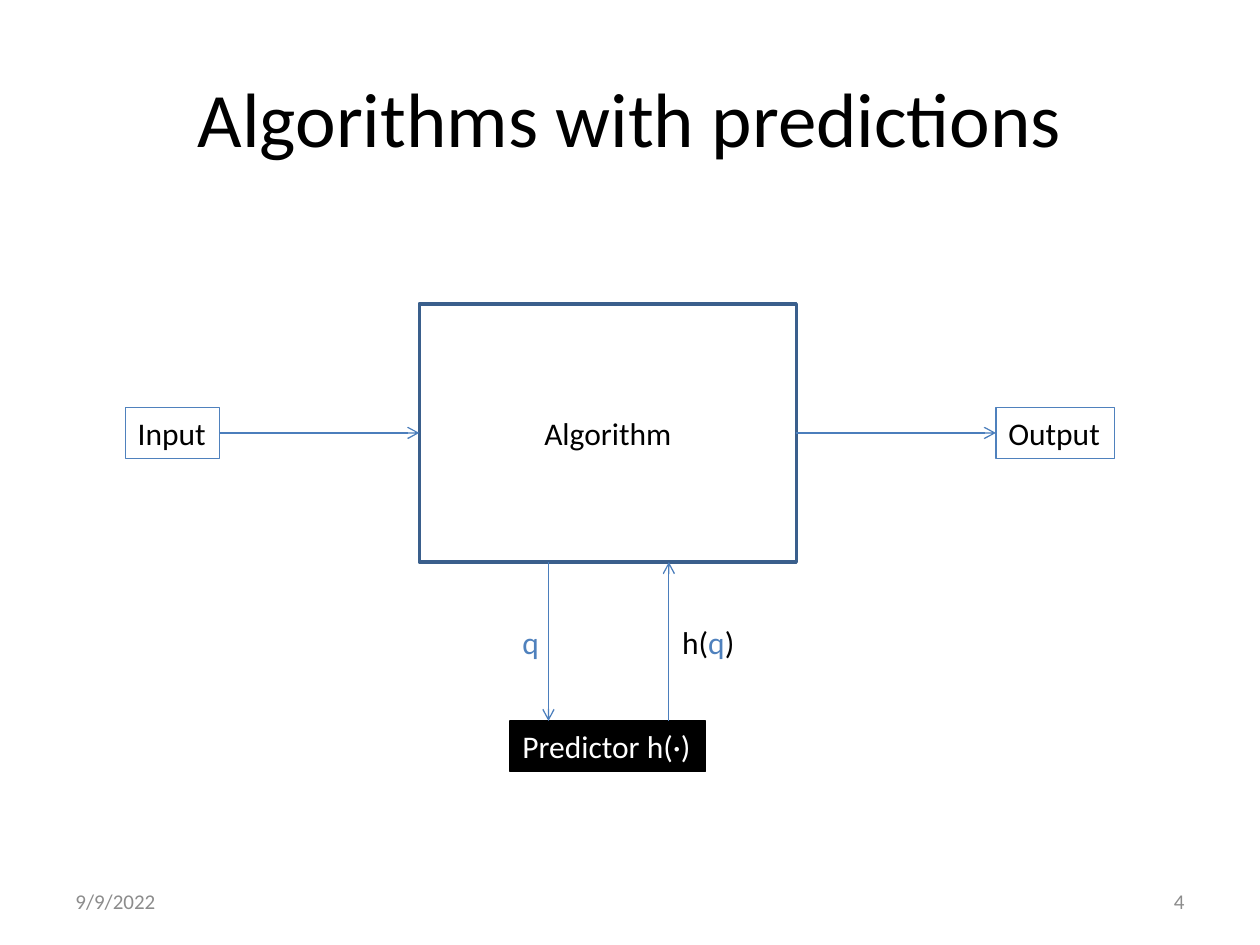
from lxml.etree import SubElement
from pptx import Presentation
from pptx.dml.color import RGBColor
from pptx.enum.shapes import MSO_CONNECTOR, MSO_SHAPE
from pptx.enum.text import MSO_ANCHOR, PP_ALIGN
from pptx.oxml.ns import qn
from pptx.util import Pt

BLACK, WHITE, BLUE = "000000", "FFFFFF", "4F81BD"
ARROW_BLUE, FRAME_BLUE, GREY = "4B7EBC", "3A5F8C", "8C8C8C"


def color(value):
    """Turn a hex string into a colour."""
    return RGBColor.from_string(value)


def write(shape, spans, size=18, align=PP_ALIGN.LEFT, anchor=MSO_ANCHOR.TOP, wrap=True):
    """Fill a shape with one paragraph of (text, colour) spans."""
    frame = shape.text_frame
    frame.word_wrap = wrap
    frame.vertical_anchor = anchor
    para = frame.paragraphs[0]
    para.alignment = align
    for text, hue in spans:
        span = para.add_run()
        span.text = text
        span.font.name = "Calibri"
        span.font.size = Pt(size)
        span.font.color.rgb = color(hue)


def add_label(page, box, spans, **style):
    """Add a plain text box."""
    label = page.shapes.add_textbox(*map(Pt, box))
    write(label, spans, **style)


def add_node(page, box, text, text_color, line_color, fill=None, line_width=0.75, **style):
    """Add an outlined rectangle with a caption."""
    node = page.shapes.add_shape(MSO_SHAPE.RECTANGLE, *map(Pt, box))
    node.shadow.inherit = False
    if fill:
        node.fill.solid()
        node.fill.fore_color.rgb = color(fill)
    else:
        node.fill.background()
    node.line.color.rgb = color(line_color)
    node.line.width = Pt(line_width)
    write(node, [(text, text_color)], **style)


def add_arrow(page, start, end):
    """Draw a thin line with an open arrowhead at its end."""
    arrow = page.shapes.add_connector(MSO_CONNECTOR.STRAIGHT, *map(Pt, start + end))
    arrow.line.color.rgb = color(ARROW_BLUE)
    arrow.line.width = Pt(0.75)
    SubElement(arrow.line._get_or_add_ln(), qn("a:tailEnd"), type="arrow")
    SubElement(arrow._element.spPr, qn("a:effectLst"))


def add_title(page, box, text):
    """Place and fill the title placeholder."""
    title = page.shapes.title
    title.left, title.top, title.width, title.height = map(Pt, box)
    write(title, [(text, BLACK)], size=44, align=PP_ALIGN.CENTER, anchor=MSO_ANCHOR.MIDDLE)


def add_flow(page, box):
    """Draw the algorithm in its box with input, output and predictor."""
    left, top, width, height = box
    right, bottom = left + width, top + height
    middle = top + height / 2
    gap, node_height = 114, 29
    input_width, output_width = 54, 67.7
    node_top = middle - node_height / 2
    predictor_left, predictor_top = left + 51.8, bottom + 90.8
    query_x, answer_x = left + 73.8, left + 142.6
    label_top = bottom + 31

    add_node(page, box, "Algorithm", BLACK, FRAME_BLUE, WHITE, 2,
             align=PP_ALIGN.CENTER, anchor=MSO_ANCHOR.MIDDLE)
    add_node(page, (left - gap - input_width, node_top, input_width, node_height),
             "Input", BLACK, BLUE, wrap=False)
    add_node(page, (right + gap, node_top, output_width, node_height),
             "Output", BLACK, BLUE, wrap=False)
    add_node(page, (predictor_left, predictor_top, 111.6, node_height),
             "Predictor h(·)", WHITE, BLACK, BLACK, wrap=False)

    add_arrow(page, (left - gap, middle), (left, middle))
    add_arrow(page, (right, middle), (right + gap, middle))
    add_arrow(page, (query_x, bottom), (query_x, predictor_top))
    add_arrow(page, (answer_x, predictor_top), (answer_x, bottom))

    add_label(page, (predictor_left, label_top, 22.3, node_height), [("q", BLUE)])
    add_label(page, (answer_x + 0.5, label_top, 51, node_height),
              [("h(", BLACK), ("q", BLUE), (")", BLACK)])


def add_footer(page, box, date, number):
    """Write the date at the left and the page number at the right."""
    left, top, width, height = box
    field = 168
    style = {"size": 12, "anchor": MSO_ANCHOR.MIDDLE}
    add_label(page, (left, top, field, height), [(date, GREY)], **style)
    add_label(page, (left + width - field, top, field, height), [(number, GREY)],
              align=PP_ALIGN.RIGHT, **style)


def main():
    """Build the slide and save it."""
    deck = Presentation()
    deck.slide_width, deck.slide_height = Pt(720), Pt(540)
    page = deck.slides.add_slide(deck.slide_layouts[5])
    add_title(page, (36, 21.6, 648, 90), "Algorithms with predictions")
    add_flow(page, (239.6, 173.6, 215.5, 147.6))
    add_footer(page, (36, 500.5, 648, 28.8), "9/9/2022", "4")
    deck.save("out.pptx")


if __name__ == "__main__":
    main()
